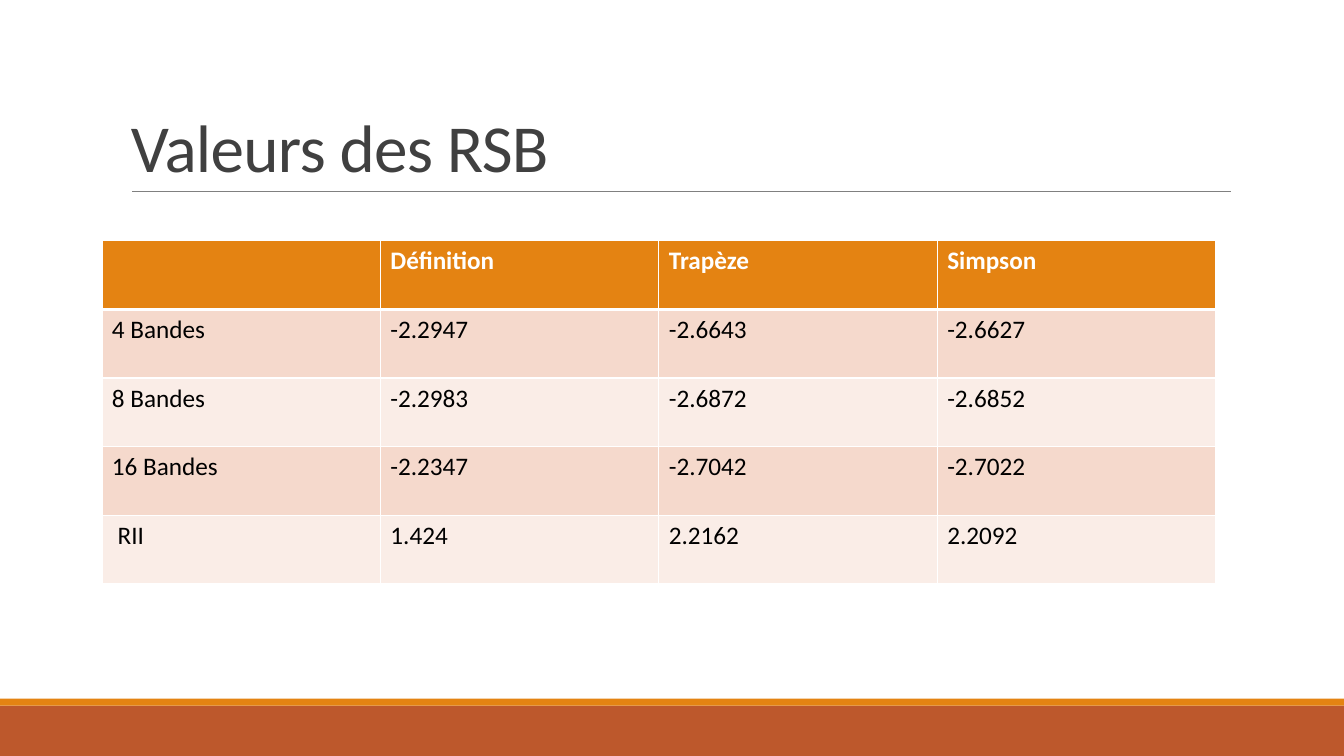
from dataclasses import dataclass

from lxml.etree import SubElement
from pptx import Presentation
from pptx.dml.color import RGBColor
from pptx.enum.shapes import MSO_CONNECTOR, MSO_SHAPE
from pptx.enum.text import MSO_ANCHOR
from pptx.oxml.ns import qn
from pptx.util import Pt


@dataclass(frozen=True)
class Theme:
    font: str = "Calibri"
    title_size: float = 48
    table_size: float = 18
    title: str = "404040"
    text: str = "000000"
    white: str = "FFFFFF"
    rule: str = "808080"
    orange: str = "E48312"
    rust: str = "BD582C"
    bands: tuple = ("F5D9CC", "FAEDE7")


THEME = Theme()
RSB_ROWS = [
    ("", "Définition", "Trapèze", "Simpson"),
    ("4 Bandes", "-2.2947", "-2.6643", "-2.6627"),
    ("8 Bandes", "-2.2983", "-2.6872", "-2.6852"),
    ("16 Bandes", "-2.2347", "-2.7042", "-2.7022"),
    (" RII", "1.424", "2.2162", "2.2092"),
]


def rgb(color):
    return RGBColor.from_string(color)


def write(tf, text, *, size, color, bold=False, line_spacing=None, tracking=None):
    p = tf.paragraphs[0]
    p.line_spacing = line_spacing
    p.font.size = Pt(size)
    if not text:
        return
    r = p.add_run()
    r.text = text
    r.font.name = THEME.font
    r.font.size = Pt(size)
    r.font.bold = bold
    r.font.color.rgb = rgb(color)
    if tracking is not None:
        r.font._element.set("spc", str(round(tracking * 100)))


def add_bar(s, left, top, width, height, color):
    sp = s.shapes.add_shape(MSO_SHAPE.RECTANGLE, Pt(left), Pt(top), Pt(width), Pt(height))
    sp.shadow.inherit = False
    sp.fill.solid()
    sp.fill.fore_color.rgb = rgb(color)
    sp.line.fill.background()


def add_footer(s, left, top, width, height, stripe=5):
    add_bar(s, left, top + stripe, width, height - stripe, THEME.rust)
    add_bar(s, left, top, width, stripe, THEME.orange)


def add_title(s, left, top, width, height, text):
    bottom = top + height
    rule_left = left + 8
    line = s.shapes.add_connector(
        MSO_CONNECTOR.STRAIGHT, Pt(rule_left), Pt(bottom), Pt(rule_left + 784.8), Pt(bottom))
    line.line.color.rgb = rgb(THEME.rule)
    line.line.width = Pt(0.5)
    SubElement(line._element.spPr, qn("a:effectLst"))
    tf = s.shapes.add_textbox(Pt(left), Pt(top), Pt(width), Pt(height)).text_frame
    tf.word_wrap = True
    tf.vertical_anchor = MSO_ANCHOR.BOTTOM
    write(tf, text, size=THEME.title_size, color=THEME.title, line_spacing=0.85, tracking=-0.5)


def set_borders(cell, **widths):
    tc_pr = cell._tc.get_or_add_tcPr()
    for side in ("L", "R", "T", "B"):
        ln = SubElement(tc_pr, qn(f"a:ln{side}"), w=str(Pt(widths.get(side, 1))))
        fill = SubElement(ln, qn("a:solidFill"))
        SubElement(fill, qn("a:srgbClr"), val=THEME.white)


def add_rsb_table(s, left, top, width, height, rows):
    n_rows, n_cols = len(rows), len(rows[0])
    table = s.shapes.add_table(
        n_rows, n_cols, Pt(left), Pt(top), Pt(width), Pt(height)).table
    for col in table.columns:
        col.width = Pt(width / n_cols)
    for i, values in enumerate(rows):
        table.rows[i].height = Pt(height / n_rows)
        header = i == 0
        fill = THEME.orange if header else THEME.bands[(i - 1) % 2]
        for j, value in enumerate(values):
            cell = table.cell(i, j)
            set_borders(cell, B=3 if header else 1, T=3 if i == 1 else 1)
            cell.fill.solid()
            cell.fill.fore_color.rgb = rgb(fill)
            write(cell.text_frame, value, size=THEME.table_size, bold=header,
                  color=THEME.white if header else THEME.text)


def main():
    prs = Presentation()
    prs.slide_width, prs.slide_height = Pt(960), Pt(540)
    s = prs.slides.add_slide(prs.slide_layouts[6])
    s.background.fill.solid()
    s.background.fill.fore_color.rgb = rgb(THEME.white)
    add_footer(s, 0, 499, 960, 41)
    add_title(s, 86.4, 22.5, 792, 114.3, "Valeurs des RSB")
    add_rsb_table(s, 72.8, 172, 795.6, 245, RSB_ROWS)
    prs.save("out.pptx")


if __name__ == "__main__":
    main()
